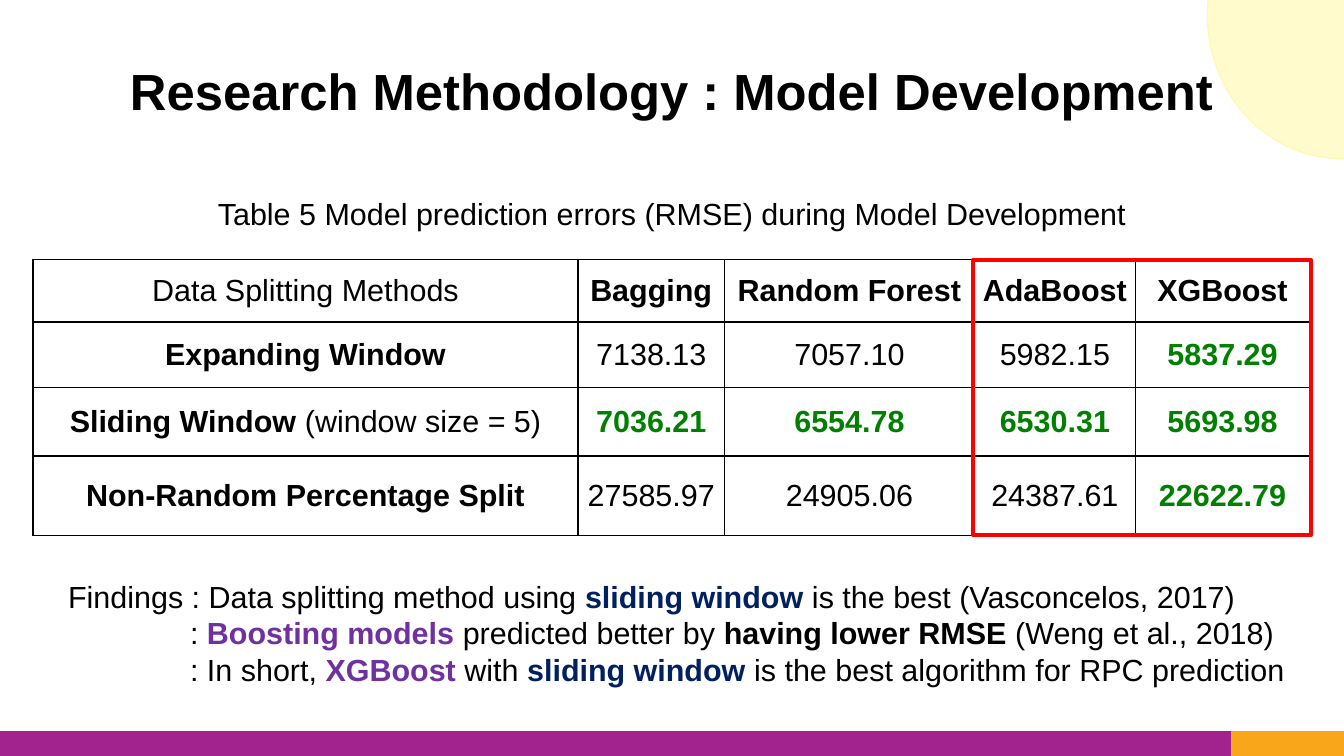
from lxml import etree
from pptx import Presentation
from pptx import util as u
from pptx.dml.color import RGBColor
from pptx.enum import shapes, text
from pptx.oxml import ns

BLACK = RGBColor(0x00, 0x00, 0x00)
PURPLE_BAR = RGBColor(0xA3, 0x23, 0x8E)
ORANGE_BAR = RGBColor(0xFA, 0xA6, 0x1A)
PALE_YELLOW = RGBColor(0xFF, 0xFB, 0xCC)
YELLOW_EDGE = RGBColor(0xFF, 0xF9, 0xAE)
GREEN = RGBColor(0x00, 0x80, 0x00)
NAVY = RGBColor(0x00, 0x20, 0x60)
VIOLET = RGBColor(0x70, 0x30, 0xA0)
RED = RGBColor(0xFF, 0x00, 0x00)


def add_run(paragraph, words, color=BLACK, bold=False, size=18):
    run = paragraph.add_run()
    run.text = words
    run.font.name = "Arial"
    run.font.size = u.Pt(size)
    run.font.bold = bold
    run.font.color.rgb = color


def add_shape(kind, box, fill, line, width):
    shape = slide.shapes.add_shape(kind, *map(u.Inches, box))
    shape.shadow.inherit = False
    if fill is None:
        shape.fill.background()
    else:
        shape.fill.solid()
        shape.fill.fore_color.rgb = fill
    shape.line.color.rgb = line
    shape.line.width = u.Pt(width)


presentation = Presentation()
presentation.slide_width = u.Inches(11.02)
presentation.slide_height = u.Inches(6.2)
slide = presentation.slides.add_slide(presentation.slide_layouts[6])

RECTANGLE = shapes.MSO_SHAPE.RECTANGLE
add_shape(RECTANGLE, (0, 6, 10.1, 0.2), PURPLE_BAR, PURPLE_BAR, 0.75)
add_shape(RECTANGLE, (10.1, 6, 0.92, 0.2), ORANGE_BAR, ORANGE_BAR, 0.75)
add_shape(shapes.MSO_SHAPE.OVAL, (9.9, -1.06, 2.19, 2.36), PALE_YELLOW, YELLOW_EDGE, 0.75)

headings = [
    ((0.55, 0.25, 9.92, 1.04), "Research Methodology : Model Development", True, 30, 0.9),
    ((1.65, 1.55, 7.72, 0.4), "Table 5 Model prediction errors (RMSE) during Model Development", False, 18, 1),
]
for box, words, bold, size, spacing in headings:
    frame = slide.shapes.add_textbox(*map(u.Inches, box)).text_frame
    frame.word_wrap = True
    frame.vertical_anchor = text.MSO_ANCHOR.MIDDLE
    frame.margin_left = frame.margin_right = frame.margin_top = frame.margin_bottom = 0
    paragraph = frame.paragraphs[0]
    paragraph.alignment = text.PP_ALIGN.CENTER
    paragraph.line_spacing = spacing
    add_run(paragraph, words, bold=bold, size=size)

column_widths = [4.47, 1.2, 2.05, 1.32, 1.43]
row_heights = [0.51, 0.54, 0.56, 0.65]
errors = [
    ["Data Splitting Methods", "Bagging", "Random Forest", "AdaBoost", "XGBoost"],
    ["Expanding Window", "7138.13", "7057.10", "5982.15", "5837.29"],
    ["Sliding Window ", "7036.21", "6554.78", "6530.31", "5693.98"],
    ["Non-Random Percentage Split", "27585.97", "24905.06", "24387.61", "22622.79"],
]
SLIDING_ROW, XGBOOST_COLUMN = 2, 4
table = slide.shapes.add_table(
    4, 5, u.Inches(0.27), u.Inches(2.13), u.Inches(10.48), u.Inches(2.26)
).table
for column, width in zip(table.columns, column_widths):
    column.width = u.Inches(width)
for row, height in zip(table.rows, row_heights):
    row.height = u.Inches(height)

for r, values in enumerate(errors):
    for c, words in enumerate(values):
        cell = table.cell(r, c)
        cell.vertical_anchor = text.MSO_ANCHOR.MIDDLE
        cell.margin_left = cell.margin_right = u.Inches(0.04)
        cell.margin_top = cell.margin_bottom = u.Inches(0.04)
        properties = cell._tc.get_or_add_tcPr()
        for side in ("a:lnL", "a:lnR", "a:lnT", "a:lnB"):
            border = etree.SubElement(properties, ns.qn(side), w=str(u.Pt(1)))
            fill = etree.SubElement(border, ns.qn("a:solidFill"))
            etree.SubElement(fill, ns.qn("a:srgbClr"), val=str(BLACK))
        cell.fill.background()
        is_label = (r == 0) != (c == 0)
        is_best = r > 0 and c > 0 and (r == SLIDING_ROW or c == XGBOOST_COLUMN)
        paragraph = cell.text_frame.paragraphs[0]
        paragraph.alignment = text.PP_ALIGN.CENTER
        add_run(paragraph, words, GREEN if is_best else BLACK, is_label or is_best)
add_run(table.cell(SLIDING_ROW, 0).text_frame.paragraphs[0], "(window size = 5)")

findings = [
    [("Findings : Data splitting method using ",), ("sliding window ", NAVY, True),
     ("is the best (Vasconcelos, 2017)",)],
    [("\t: ",), ("Boosting models ", VIOLET, True), ("predicted better by ",),
     ("having lower RMSE ", BLACK, True), ("(Weng et al., 2018)",)],
    [("\t: In short, ",), ("XGBoost", VIOLET, True), (" with ",),
     ("sliding window ", NAVY, True), ("is the best algorithm for RPC prediction",)],
]
frame = slide.shapes.add_textbox(
    u.Inches(0.46), u.Inches(4.69), u.Inches(10.29), u.Inches(0.94)
).text_frame
frame.word_wrap = True
for index, runs in enumerate(findings):
    paragraph = frame.add_paragraph() if index else frame.paragraphs[0]
    tabs = etree.SubElement(paragraph._p.get_or_add_pPr(), ns.qn("a:tabLst"))
    etree.SubElement(tabs, ns.qn("a:tab"), pos=str(u.Inches(1)), algn="l")
    for run in runs:
        add_run(paragraph, *run)

add_shape(RECTANGLE, (7.98, 2.13, 2.77, 2.26), None, RED, 2.25)

presentation.save("out.pptx")
